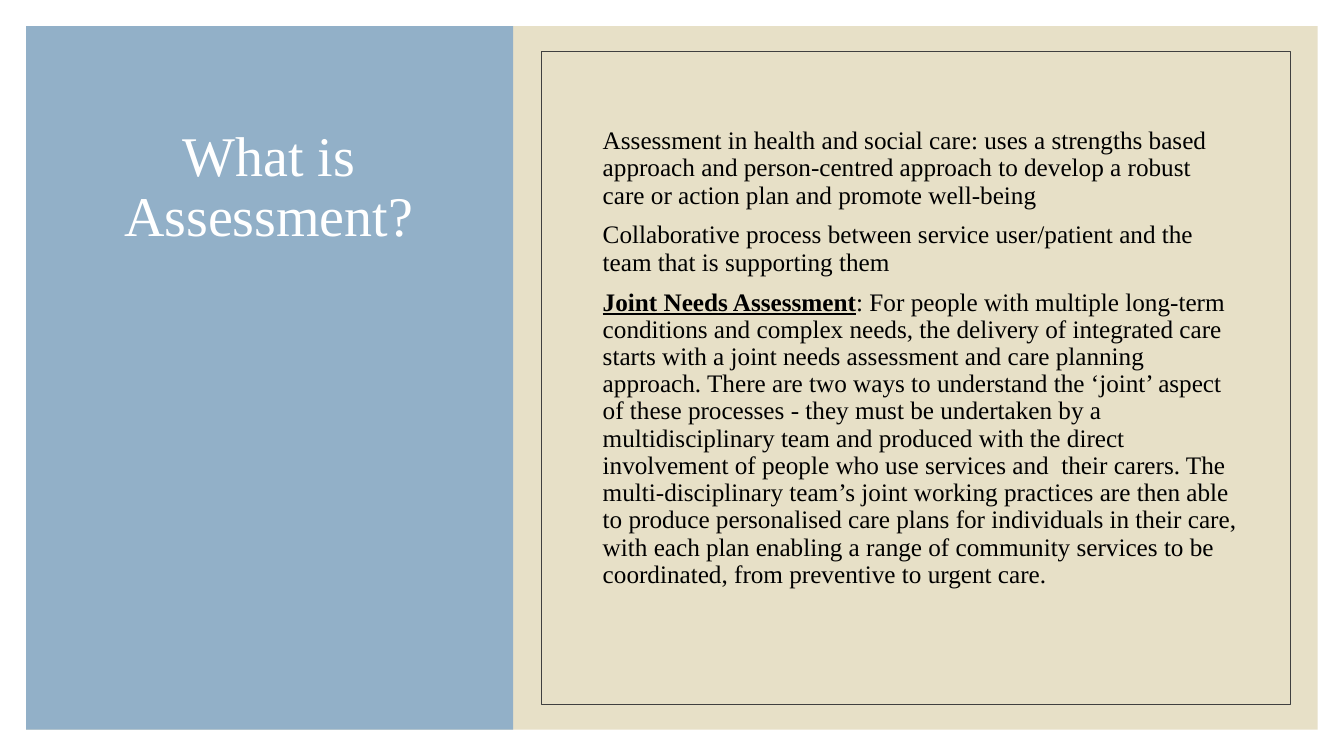
from dataclasses import dataclass
from pptx import Presentation
from pptx.dml.color import RGBColor as Color
from pptx.enum.shapes import MSO_SHAPE as Kind
from pptx.enum.text import MSO_ANCHOR as Anchor, PP_ALIGN as Align
from pptx.util import Inches, Pt

# Content: each paragraph is a list of (text, is heading)
TITLE = [[("What is Assessment?", False)]]
BODY = [
    [("Assessment in health and social care: uses a strengths based approach and "
      "person-centred approach to develop a robust care or action plan and promote "
      "well-being", False)],
    [("Collaborative process between service user/patient and the team that is "
      "supporting them", False)],
    [("Joint Needs Assessment", True),
     (": For people with multiple long-term conditions and complex needs, the delivery "
      "of integrated care starts with a joint needs assessment and care planning "
      "approach. There are two ways to understand the ‘joint’ aspect of these processes "
      "- they must be undertaken by a multidisciplinary team and produced with the "
      "direct involvement of people who use services and  their carers. The "
      "multi-disciplinary team’s joint working practices are then able to produce "
      "personalised care plans for individuals in their care, with each plan enabling "
      "a range of community services to be coordinated, from preventive to urgent "
      "care.", False)],
]


@dataclass(frozen=True)
class Theme:
    font: str = "Times New Roman"
    white: str = "FFFFFF"
    sand: str = "E7E0C7"
    blue: str = "92B0C8"
    rule: str = "404040"
    ink: str = "000000"
    head: int = 40
    text: int = 18
    lead: float = 0.9
    gap: int = 9


theme = Theme()

# Layout in inches
WIDE, HIGH = 13.33, 7.5
EDGE = 0.26
SIDE = 4.83
TOP, TALL = 1.22, 5.07


def add_rect(slide, box, fill=None, line=None):
    rect = slide.shapes.add_shape(Kind.RECTANGLE, *map(Inches, box))
    rect.shadow.inherit = False
    if fill:
        rect.fill.solid()
        rect.fill.fore_color.rgb = Color.from_string(fill)
    else:
        rect.fill.background()
    if line:
        rect.line.color.rgb = Color.from_string(line)
        rect.line.width = Pt(0.5)
    else:
        rect.line.fill.background()


def put_text(shape, paras, size, color, align=Align.LEFT):
    frame = shape.text_frame
    frame.word_wrap = True
    frame.vertical_anchor = Anchor.TOP
    for i, runs in enumerate(paras):
        para = frame.paragraphs[0] if i == 0 else frame.add_paragraph()
        para.alignment = align
        para.line_spacing = theme.lead
        para.space_before = Pt(theme.gap if i else 0)
        for text, strong in runs:
            run = para.add_run()
            run.text = text
            font = run.font
            font.name, font.size = theme.font, Pt(size)
            font.bold = font.underline = strong
            font.color.rgb = Color.from_string(color)


def main():
    deck = Presentation()
    deck.slide_width, deck.slide_height = Inches(WIDE), Inches(HIGH)
    slide = deck.slides.add_slide(deck.slide_layouts[5])
    slide.background.fill.solid()
    slide.background.fill.fore_color.rgb = Color.from_string(theme.sand)

    # White margin, sand panel, blue side panel, thin frame
    inner = HIGH - 2 * EDGE
    add_rect(slide, (0, 0, WIDE, HIGH), theme.white)
    add_rect(slide, (EDGE, EDGE, WIDE - 2 * EDGE, inner), theme.sand)
    add_rect(slide, (EDGE, EDGE, SIDE, inner), theme.blue)
    add_rect(slide, (5.37, 0.51, 7.43, 6.48), line=theme.rule)

    # Title, brought in front of the panels
    title = slide.shapes.title
    title.left, title.top, title.width, title.height = map(
        Inches, (0.61, TOP, 4.11, TALL))
    slide.shapes.element.append(title.element)
    put_text(title, TITLE, theme.head, theme.white, Align.CENTER)

    # Body text
    body = slide.shapes.add_textbox(*map(Inches, (5.88, TOP, 6.5, TALL)))
    put_text(body, BODY, theme.text, theme.ink)

    deck.save("out.pptx")


if __name__ == "__main__":
    main()
